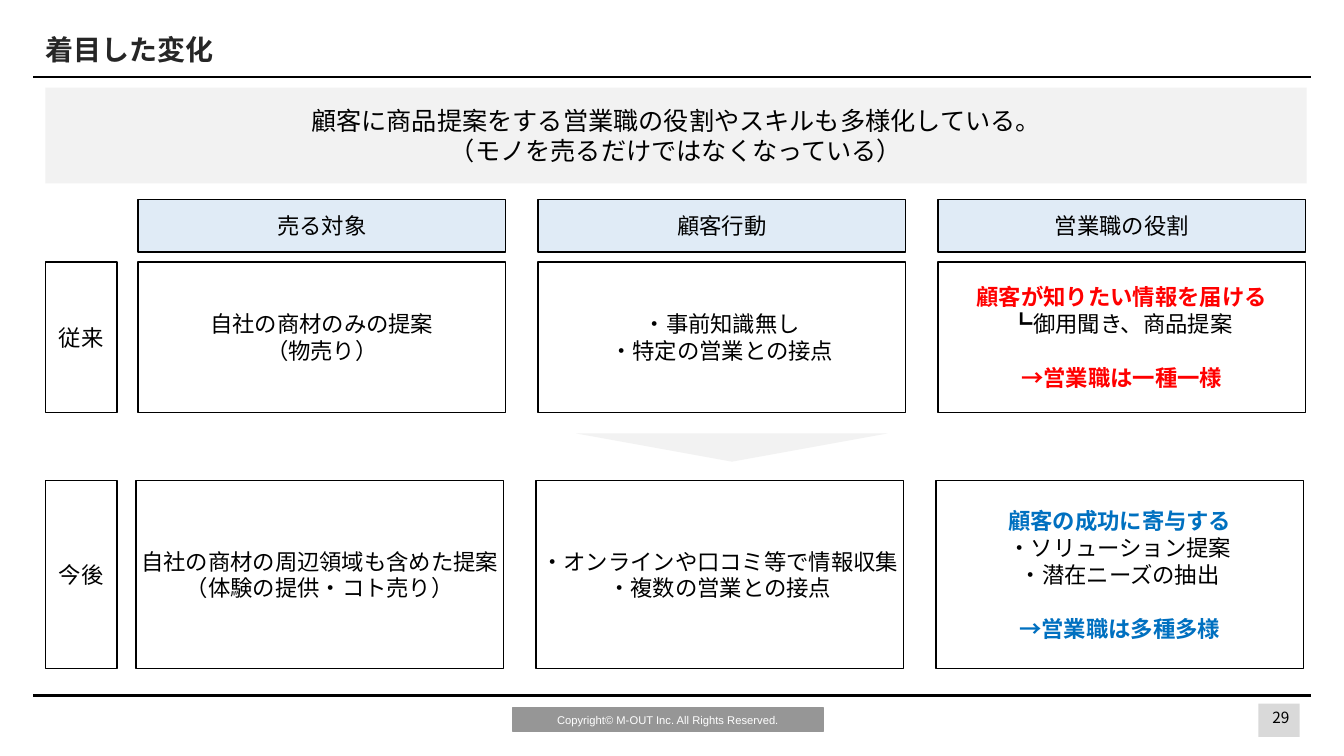
from dataclasses import dataclass

from lxml.etree import SubElement
from pptx import Presentation
from pptx.dml.color import RGBColor
from pptx.enum.shapes import MSO_CONNECTOR as CONNECTOR, MSO_SHAPE as SHAPE
from pptx.enum.text import MSO_ANCHOR as ANCHOR, MSO_AUTO_SIZE as FIT, PP_ALIGN as ALIGN
from pptx.oxml.ns import qn
from pptx.util import Emu, Pt

FONT = "Noto Sans CJK JP"
BLACK, WHITE, PALE = "000000", "FFFFFF", "F2F2F2"
RED, BLUE, HEADER = "FF0000", "0070C0", "E0EBF6"
COLUMN_LEFT, COLUMN_STEP, COLUMN_WIDTH = 137, 397, 365
LABEL_LEFT, LABEL_WIDTH = 45, 71
LEADING = 1.2


@dataclass
class Line:
    text: str
    color: str = BLACK
    bold: bool = False
    gap: bool = False


HEADERS = ["売る対象", "顧客行動", "営業職の役割"]
# label, top, height, shift of the cells, lines of each cell
ROWS = [
    ("従来", 260, 149, 0, [
        [Line("自社の商材のみの提案"), Line("（物売り）")],
        [Line("・事前知識無し"), Line("・特定の営業との接点")],
        [Line("顧客が知りたい情報を届ける", RED, True),
         Line("┗御用聞き、商品提案"),
         Line("→営業職は一種一様", RED, True, gap=True)],
    ]),
    ("今後", 477, 186, -2, [
        [Line("自社の商材の周辺領域も含めた提案"), Line("（体験の提供・コト売り）")],
        [Line("・オンラインや口コミ等で情報収集"), Line("・複数の営業との接点")],
        [Line("顧客の成功に寄与する", BLUE, True),
         Line("・ソリューション提案"),
         Line("・潜在ニーズの抽出"),
         Line("→営業職は多種多様", BLUE, True, gap=True)],
    ]),
]


def px(length):
    return Emu(length * 9144)


def rgb(value):
    return RGBColor.from_string(value)


def write(box, lines, size, font=FONT, align=ALIGN.CENTER, wrap=False):
    frame = box.text_frame
    frame.text = "\n".join(line.text for line in lines)
    frame.auto_size = FIT.NONE
    frame.word_wrap = wrap
    frame.vertical_anchor = ANCHOR.MIDDLE
    for para, line in zip(frame.paragraphs, lines):
        para.alignment = align
        para.line_spacing = Pt(size * LEADING)
        para.space_before = Pt(size * LEADING if line.gap else 0)
        for run in para.runs:
            run.font.size = Pt(size)
            run.font.name = font
            run.font.bold = line.bold
            run.font.color.rgb = rgb(line.color)
            SubElement(run.font._element, qn("a:ea")).set("typeface", font)


def add_block(page, left, top, width, height, fill, border=None, shape=SHAPE.RECTANGLE):
    box = page.shapes.add_shape(shape, px(left), px(top), px(width), px(height))
    box.shadow.inherit = False
    box.fill.solid()
    box.fill.fore_color.rgb = rgb(fill)
    if border:
        box.line.color.rgb = rgb(border)
        box.line.width = Pt(1)
    else:
        box.line.fill.background()
    return box


def add_cell(page, left, top, width, height, lines, fill=WHITE):
    box = add_block(page, left, top, width, height, fill, BLACK)
    frame = box.text_frame
    frame.margin_left = frame.margin_right = px(4)
    frame.margin_top = frame.margin_bottom = px(4)
    write(box, lines, 16)


def add_rule(page, top):
    rule = page.shapes.add_connector(CONNECTOR.STRAIGHT, px(33), px(top), px(1301), px(top))
    rule.line.color.rgb = rgb(BLACK)
    rule.line.width = Pt(1.5)
    SubElement(rule._element.spPr, qn("a:effectLst"))


def add_title(page, text):
    title = page.shapes.title
    title.left, title.top, title.width, title.height = px(35), px(21), px(1000), px(55)
    write(title, [Line(text, "262626", True)], 20, align=ALIGN.LEFT, wrap=True)


def add_footer(page):
    add_block(page, 1249, 698, 41, 33, "D9D9D9")
    notice = add_block(page, 509, 702, 308, 24, "969696", "969696")
    write(notice, [Line("Copyright© M-OUT Inc. All Rights Reserved.", WHITE)], 8, "Arial")
    number = page.shapes.add_textbox(px(1256), px(699), px(31), px(25))
    write(number, [Line("29")], 11)


def add_comparison(page):
    columns = [COLUMN_LEFT + COLUMN_STEP * index for index in range(len(HEADERS))]
    for left, header in zip(columns, HEADERS):
        add_cell(page, left, 198, COLUMN_WIDTH, 52, [Line(header)], HEADER)
    for label, top, height, shift, cells in ROWS:
        add_cell(page, LABEL_LEFT, top, LABEL_WIDTH, height, [Line(label)])
        for left, lines in zip(columns, cells):
            add_cell(page, left + shift, top, COLUMN_WIDTH, height, lines)


def main():
    deck = Presentation()
    deck.slide_width, deck.slide_height = px(1334), px(750)
    page = deck.slides.add_slide(deck.slide_layouts[5])

    # Frame of the page
    add_footer(page)
    for top in (76, 690):
        add_rule(page, top)
    add_title(page, "着目した変化")

    # Key message
    message = add_block(page, 45, 87, 1252, 95, PALE)
    write(message, [Line("顧客に商品提案をする営業職の役割やスキルも多様化している。"),
                    Line("（モノを売るだけではなくなっている）")], 18)

    # Before and after, with the downward marker between them
    add_comparison(page)
    marker = add_block(page, 572, 430, 309, 28, PALE, shape=SHAPE.ISOSCELES_TRIANGLE)
    marker.rotation = 180

    deck.save("out.pptx")


if __name__ == "__main__":
    main()
